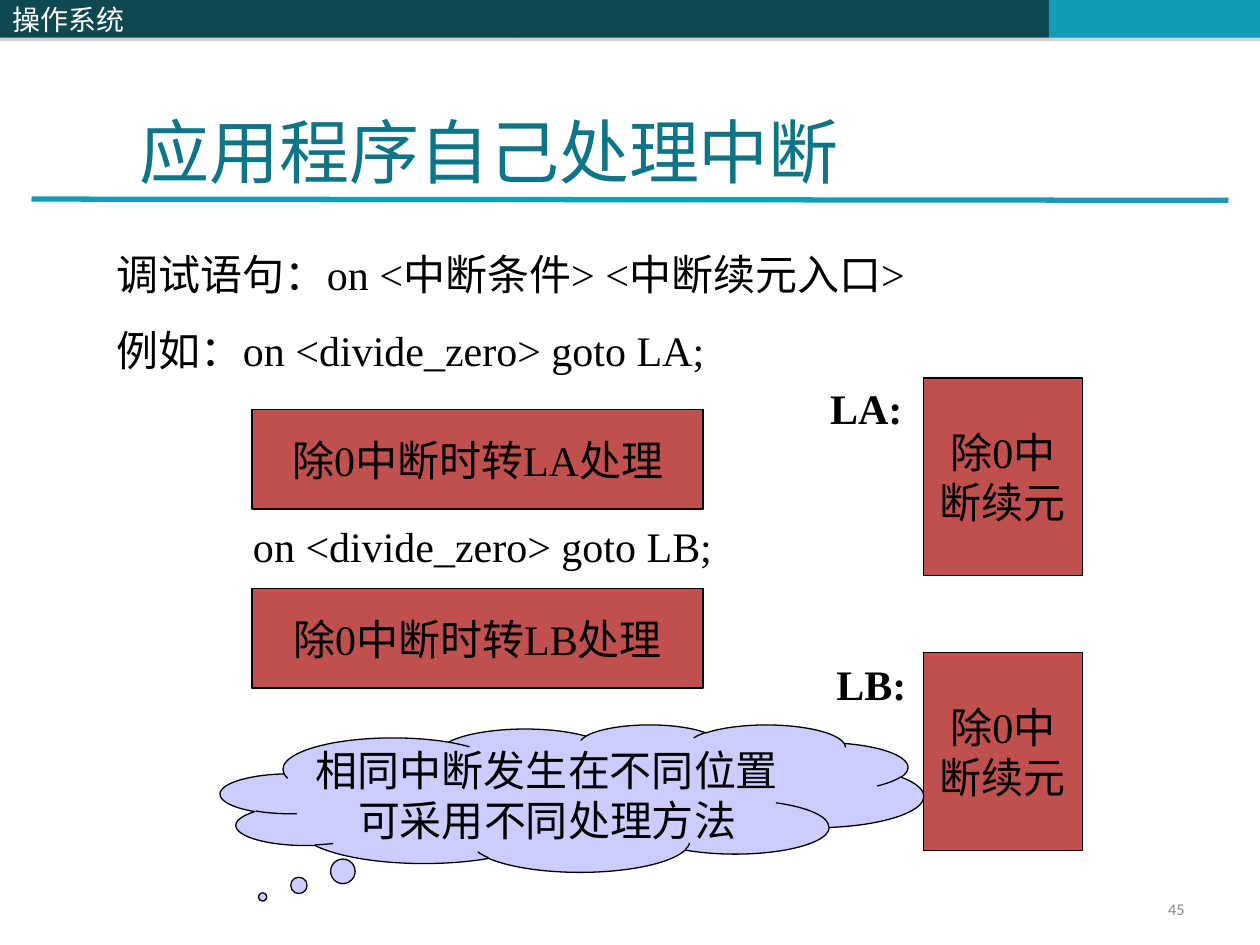
from dataclasses import dataclass

from lxml import etree
from pptx import Presentation
from pptx.dml.color import RGBColor
from pptx.enum import shapes, text
from pptx.oxml import ns, parse_xml
from pptx.slide import Slide
from pptx.util import Inches, Pt

COLORS = {
    "dark": "0E4851",
    "teal": "139CB7",
    "title": "0E7589",
    "red": "C0504D",
    "lilac": "CCCCFF",
    "black": "000000",
    "white": "FFFFFF",
    "gray": "898989",
}
BAR_SHADOW = (
    f'<a:effectLst {ns.nsdecls("a")}><a:outerShdw dist="22860" dir="5400000">'
    '<a:srgbClr val="808080"><a:alpha val="35000"/></a:srgbClr>'
    "</a:outerShdw></a:effectLst>"
)
SHAPE = shapes.MSO_SHAPE
ALIGN = text.PP_ALIGN
ANCHOR = text.MSO_ANCHOR


def color(name):
    return RGBColor.from_string(COLORS[name])


@dataclass
class SlideBuilder:
    slide: Slide
    font: str = "Times New Roman"
    east_asian_font: str = "Noto Sans CJK SC"
    size: float = 24
    space_before: float = 15

    def add_lines(self, shape, lines, align=ALIGN.LEFT, anchor=ANCHOR.MIDDLE, wrap=True,
                  size=None, font=None, ink="black", bold=False, gap=0):
        """Fill a shape with one paragraph per line, gap points apart."""
        frame = shape.text_frame
        frame.word_wrap = wrap
        frame.vertical_anchor = anchor
        for index, line in enumerate(lines):
            paragraph = frame.add_paragraph() if index else frame.paragraphs[0]
            paragraph.alignment = align
            paragraph.space_before = Pt(gap if index else 0)
            run = paragraph.add_run()
            run.text = line
            run.font.name = font or self.font
            run.font.size = Pt(size or self.size)
            run.font.bold = bold
            run.font.color.rgb = color(ink)
            east_asian = etree.SubElement(run._r.get_or_add_rPr(), ns.qn("a:ea"))
            east_asian.set("typeface", self.east_asian_font)

    def text_box(self, left, top, width, height, lines, **style):
        box = self.slide.shapes.add_textbox(
            Inches(left), Inches(top), Inches(width), Inches(height))
        self.add_lines(box, lines, **style)

    def block(self, left, top, width, height, fill, lines=(), outline=True,
              kind=SHAPE.RECTANGLE, **style):
        shape = self.slide.shapes.add_shape(
            kind, Inches(left), Inches(top), Inches(width), Inches(height))
        shape.shadow.inherit = False
        shape.fill.solid()
        shape.fill.fore_color.rgb = color(fill)
        if outline:
            shape.line.color.rgb = color("black")
            shape.line.width = Pt(0.75)
        else:
            shape.line.fill.background()
        self.add_lines(shape, lines, **{"align": ALIGN.CENTER, "wrap": False, **style})
        return shape

    def header_bar(self, left, width, fill, lines=(), **style):
        bar = self.block(left, 0, width, 0.3, fill, lines, outline=False, **style)
        properties = bar._element.spPr
        properties.replace(properties.find(ns.qn("a:effectLst")), parse_xml(BAR_SHADOW))

    def rule(self, left, top, right, bottom):
        line = self.slide.shapes.add_connector(
            shapes.MSO_CONNECTOR.STRAIGHT,
            Inches(left), Inches(top), Inches(right), Inches(bottom))
        line.line.color.rgb = color("teal")
        line.line.width = Pt(3)
        etree.SubElement(line._element.spPr, ns.qn("a:effectLst"))

    def cloud(self, left, top, width, height, lines, tail):
        shape = self.block(left, top, width, height, "lilac", lines,
                           kind=SHAPE.CLOUD_CALLOUT)
        for index, offset in enumerate(tail):
            shape.adjustments[index] = offset


def main():
    presentation = Presentation()
    presentation.slide_width = Inches(10)
    presentation.slide_height = Inches(7.5)
    builder = SlideBuilder(presentation.slides.add_slide(presentation.slide_layouts[6]))

    builder.header_bar(4.08, 4.25, "dark")
    builder.header_bar(8.33, 1.67, "teal")
    builder.rule(0.25, 1.58, 9.75, 1.59)
    builder.header_bar(0, 4.08, "dark", ["操作系统"], align=ALIGN.LEFT, wrap=True,
                       size=16, font=builder.east_asian_font, ink="white")
    builder.text_box(7.17, 7.08, 2.33, 0.27, ["45"], align=ALIGN.RIGHT,
                     size=9.3, font="Calibri", ink="gray")
    builder.text_box(1.01, 0.33, 8.5, 1.25, ["应用程序自己处理中断"],
                     anchor=ANCHOR.BOTTOM, size=40, ink="title")

    builder.text_box(0.83, 1.92, 8.42, 1.11,
                     ["调试语句：on <中断条件> <中断续元入口>",
                      "例如：on <divide_zero> goto LA;"],
                     anchor=ANCHOR.TOP, gap=builder.space_before)
    builder.text_box(1.91, 4.08, 7.34, 0.5, ["on <divide_zero> goto LB;"],
                     anchor=ANCHOR.TOP)

    for label, statement_top, handler_top, label_left, label_top in (
            ("LA", 3.25, 3, 6.58, 3), ("LB", 4.67, 5.18, 6.62, 5.19)):
        builder.block(2, statement_top, 3.58, 0.79, "red", [f"除0中断时转{label}处理"])
        builder.block(7.33, handler_top, 1.26, 1.57, "red", ["除0中", "断续元"])
        builder.block(label_left, label_top, 0.59, 0.47, "white", [f"{label}:"],
                      outline=False, bold=True)

    builder.cloud(1.75, 5.75, 5.58, 1.17,
                  ["相同中断发生在不同位置", "可采用不同处理方法"], tail=(-0.44, 0.67))
    presentation.save("out.pptx")


if __name__ == "__main__":
    main()
